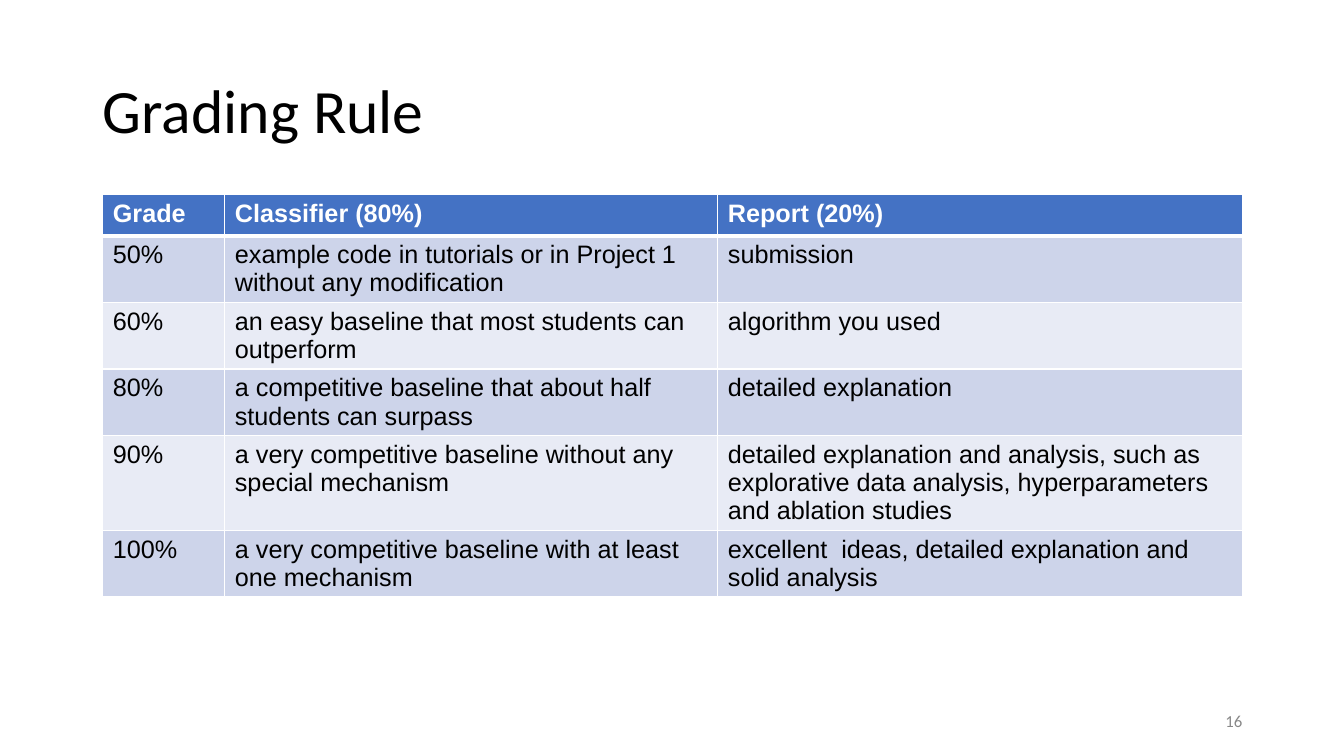
"""Build the grading rule slide with its table of classifier and report criteria."""

from typing import NamedTuple

from lxml.etree import SubElement
from pptx import Presentation
from pptx.dml.color import RGBColor
from pptx.enum.text import MSO_ANCHOR as Anchor, MSO_AUTO_SIZE as AutoSize, PP_ALIGN as Align
from pptx.oxml.ns import qn
from pptx.util import Inches, Pt

WHITE = "FFFFFF"
BLACK = "000000"
GRAY = "888888"
HEADER_BLUE = "4472C4"
BAND_COLORS = ("E8EBF5", "CDD4EA")
COLUMN_WIDTHS = (1.21, 4.89, 5.2)
ROW_HEIGHT = 0.41


class GradeRow(NamedTuple):
    grade: str
    classifier: str
    report: str


GRADE_ROWS = (
    GradeRow("Grade", "Classifier (80%)", "Report (20%)"),
    GradeRow("50%", "example code in tutorials or in Project 1 without any modification", "submission"),
    GradeRow("60%", "an easy baseline that most students can outperform", "algorithm you used"),
    GradeRow("80%", "a competitive baseline that about half students can surpass", "detailed explanation"),
    GradeRow(
        "90%",
        "a very competitive baseline without any special mechanism",
        "detailed explanation and analysis, such as explorative data analysis, "
        "hyperparameters and ablation studies",
    ),
    GradeRow(
        "100%",
        "a very competitive baseline with at least one mechanism",
        "excellent  ideas, detailed explanation and solid analysis",
    ),
)


def rgb(color: str) -> RGBColor:
    return RGBColor.from_string(color)


def format_paragraph(paragraph, font_name: str, size: int, color: str, align=Align.LEFT, bold=False) -> None:
    paragraph.alignment = align
    font = paragraph.font
    font.name, font.size, font.bold = font_name, Pt(size), bold
    font.color.rgb = rgb(color)


def add_borders(cell, widths: dict[str, int]) -> None:
    properties = cell._tc.get_or_add_tcPr()
    for side, width in widths.items():
        line = SubElement(properties, qn(f"a:{side}"), w=str(Pt(width)))
        fill = SubElement(line, qn("a:solidFill"))
        SubElement(fill, qn("a:srgbClr"), val=WHITE)


def add_title(slide, text: str) -> None:
    title = slide.shapes.title
    title.left, title.top = Inches(0.92), Inches(0.4)
    title.width, title.height = Inches(11.5), Inches(1.45)
    frame = title.text_frame
    frame.text = text
    frame.auto_size = AutoSize.NONE
    frame.vertical_anchor = Anchor.MIDDLE
    paragraph = frame.paragraphs[0]
    paragraph.line_spacing = 0.9
    format_paragraph(paragraph, "Calibri", 44, BLACK)


def add_grade_table(slide, rows: tuple[GradeRow, ...]) -> None:
    table = slide.shapes.add_table(
        len(rows), len(COLUMN_WIDTHS), Inches(1.02), Inches(1.93),
        Inches(sum(COLUMN_WIDTHS)), Inches(ROW_HEIGHT * len(rows)),
    ).table
    for column, width in zip(table.columns, COLUMN_WIDTHS):
        column.width = Inches(width)
    for row_index, row in enumerate(rows):
        is_header = row_index == 0
        top_width = 3 if row_index == 1 else 1
        bottom_width = 3 if is_header else 1
        for column_index, text in enumerate(row):
            cell = table.cell(row_index, column_index)
            cell.text = text
            add_borders(cell, {"lnL": 1, "lnR": 1, "lnT": top_width, "lnB": bottom_width})
            cell.fill.solid()
            cell.fill.fore_color.rgb = rgb(HEADER_BLUE if is_header else BAND_COLORS[row_index % 2])
            format_paragraph(
                cell.text_frame.paragraphs[0], "Arial", 18,
                WHITE if is_header else BLACK, bold=is_header,
            )


def add_slide_number(slide, number: str) -> None:
    box = slide.shapes.add_textbox(Inches(9.42), Inches(6.95), Inches(3), Inches(0.4))
    frame = box.text_frame
    frame.word_wrap = True
    frame.vertical_anchor = Anchor.MIDDLE
    frame.text = number
    format_paragraph(frame.paragraphs[0], "Calibri", 12, GRAY, Align.RIGHT)


def main() -> None:
    presentation = Presentation()
    presentation.slide_width, presentation.slide_height = Inches(13.33), Inches(7.5)
    slide = presentation.slides.add_slide(presentation.slide_layouts.get_by_name("Title Only"))
    add_grade_table(slide, GRADE_ROWS)
    add_title(slide, "Grading Rule")
    add_slide_number(slide, "16")
    presentation.save("out.pptx")


if __name__ == "__main__":
    main()
